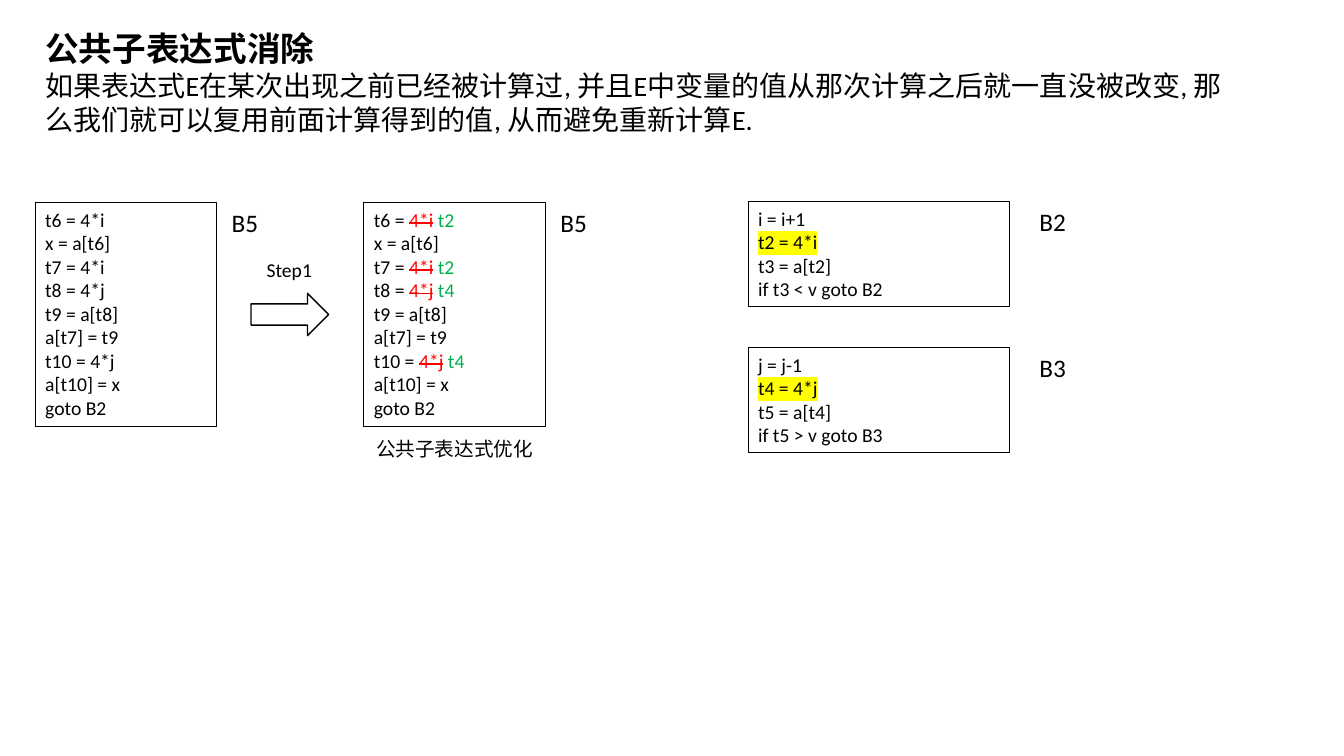
from lxml import etree
from pptx import Presentation
from pptx.dml.color import RGBColor
from pptx.enum import shapes, text
from pptx.oxml import ns
from pptx.util import Inches, Pt

FONT = "Calibri"
COLORS = {
    "ink": "000000",
    "removed": "FF0000",
    "reused": "00B050",
    "marked": "FFFF00",
}
LEFT = 0.35
TOP = 2.01
STEP_LEFT = 3.61
BLOCK_WIDTH, BLOCK_HEIGHT = 1.8, 2.22
SOURCE_LEFT, SOURCE_TOP, SOURCE_GAP = 7.42, 2.0, 1.45

BEFORE = ["t6 = 4*i", "x = a[t6]", "t7 = 4*i", "t8 = 4*j", "t9 = a[t8]",
          "a[t7] = t9", "t10 = 4*j", "a[t10] = x", "goto B2"]
REUSED = {"4*i": "t2", "4*j": "t4"}
SOURCES = [
    ("B2", ["i = i+1", "t2 = 4*i", "t3 = a[t2]", "if t3 < v goto B2"]),
    ("B3", ["j = j-1", "t4 = 4*j", "t5 = a[t4]", "if t5 > v goto B3"]),
]


def rgb(name):
    return RGBColor.from_string(COLORS[name])


def add_span(para, words, size, color="ink", bold=False):
    span = para.add_run()
    span.text = words
    span.font.name = FONT
    span.font.size = Pt(size)
    span.font.bold = bold
    span.font.color.rgb = rgb(color)
    return span


def strike(span):
    span._r.get_or_add_rPr().set("strike", "sngStrike")


def highlight(span, color):
    fill = span._r.get_or_add_rPr().find(ns.qn("a:solidFill"))
    mark = etree.Element(ns.qn("a:highlight"))
    etree.SubElement(mark, ns.qn("a:srgbClr")).set("val", COLORS[color])
    fill.addnext(mark)


def add_label(page, words, left, top, width, height, size,
              align=text.PP_ALIGN.LEFT):
    box = page.shapes.add_textbox(
        Inches(left), Inches(top), Inches(width), Inches(height))
    box.text_frame.word_wrap = True
    para = box.text_frame.paragraphs[0]
    para.alignment = align
    add_span(para, words, size)


def add_outline(page, kind, left, top, width, height, weight):
    """Add an unfilled preset shape with a black border."""
    shape = page.shapes.add_shape(
        kind, Inches(left), Inches(top), Inches(width), Inches(height))
    shape.shadow.inherit = False
    shape.fill.background()
    shape.line.color.rgb = rgb("ink")
    shape.line.width = Pt(weight)
    return shape


def add_code(page, lines, write_line, left, top, width, height):
    """Add a framed basic block; write_line fills one paragraph per line."""
    box = add_outline(page, shapes.MSO_SHAPE.RECTANGLE,
                      left, top, width, height, 0.75)
    frame = box.text_frame
    frame.word_wrap = True
    frame.vertical_anchor = text.MSO_ANCHOR.TOP
    for index, line in enumerate(lines):
        para = frame.add_paragraph() if index else frame.paragraphs[0]
        para.alignment = text.PP_ALIGN.LEFT
        write_line(para, line)


def write_plain(para, line):
    add_span(para, line, 14)


def write_replaced(para, line):
    """Strike a repeated expression and put the reused variable after it."""
    target, equals, value = line.partition(" = ")
    if value not in REUSED:
        write_plain(para, line)
        return
    add_span(para, target + equals, 14)
    strike(add_span(para, value, 14, "removed"))
    add_span(para, " ", 14)
    add_span(para, REUSED[value], 14, "reused")


def write_marked(para, line):
    """Highlight the line that first computes a reused expression."""
    span = add_span(para, line, 14)
    if line.partition(" = ")[2] in REUSED:
        highlight(span, "marked")


def set_title(page, words):
    title = page.shapes.title
    title.left, title.top = Inches(LEFT), Inches(0.23)
    title.width, title.height = Inches(11.89), Inches(0.5)
    frame = title.text_frame
    frame.auto_size = text.MSO_AUTO_SIZE.NONE
    frame.vertical_anchor = text.MSO_ANCHOR.TOP
    para = frame.paragraphs[0]
    para.alignment = text.PP_ALIGN.LEFT
    add_span(para, words, 24, bold=True)


def main():
    deck = Presentation()
    deck.slide_width, deck.slide_height = Inches(13.33), Inches(7.5)
    page = deck.slides.add_slide(deck.slide_layouts.get_by_name("Title Only"))

    set_title(page, "公共子表达式消除")
    add_label(page, "如果表达式E在某次出现之前已经被计算过, 并且E中变量的值从那次计算之后就一直没被改变, "
              "那么我们就可以复用前面计算得到的值, 从而避免重新计算E.",
              LEFT, 0.63, 11.89, 0.78, 20)

    for left, write_line in ((LEFT, write_plain), (STEP_LEFT, write_replaced)):
        add_code(page, BEFORE, write_line, left, TOP, BLOCK_WIDTH, BLOCK_HEIGHT)
        add_label(page, "B5", left + BLOCK_WIDTH + 0.05, TOP, 0.55, 0.4, 18)

    add_label(page, "Step1", 2.49, 2.51, 0.76, 0.34, 14, text.PP_ALIGN.CENTER)
    add_outline(page, shapes.MSO_SHAPE.RIGHT_ARROW, 2.49, 2.91, 0.77, 0.42, 1)
    add_label(page, "公共子表达式优化", STEP_LEFT, 4.29, BLOCK_WIDTH, 0.34, 14,
              text.PP_ALIGN.CENTER)

    for row, (name, lines) in enumerate(SOURCES):
        top = SOURCE_TOP + row * SOURCE_GAP
        add_code(page, lines, write_marked, SOURCE_LEFT, top, 2.59, 1.04)
        add_label(page, name, 10.21, top, 0.55, 0.4, 18)

    deck.save("out.pptx")


if __name__ == "__main__":
    main()
